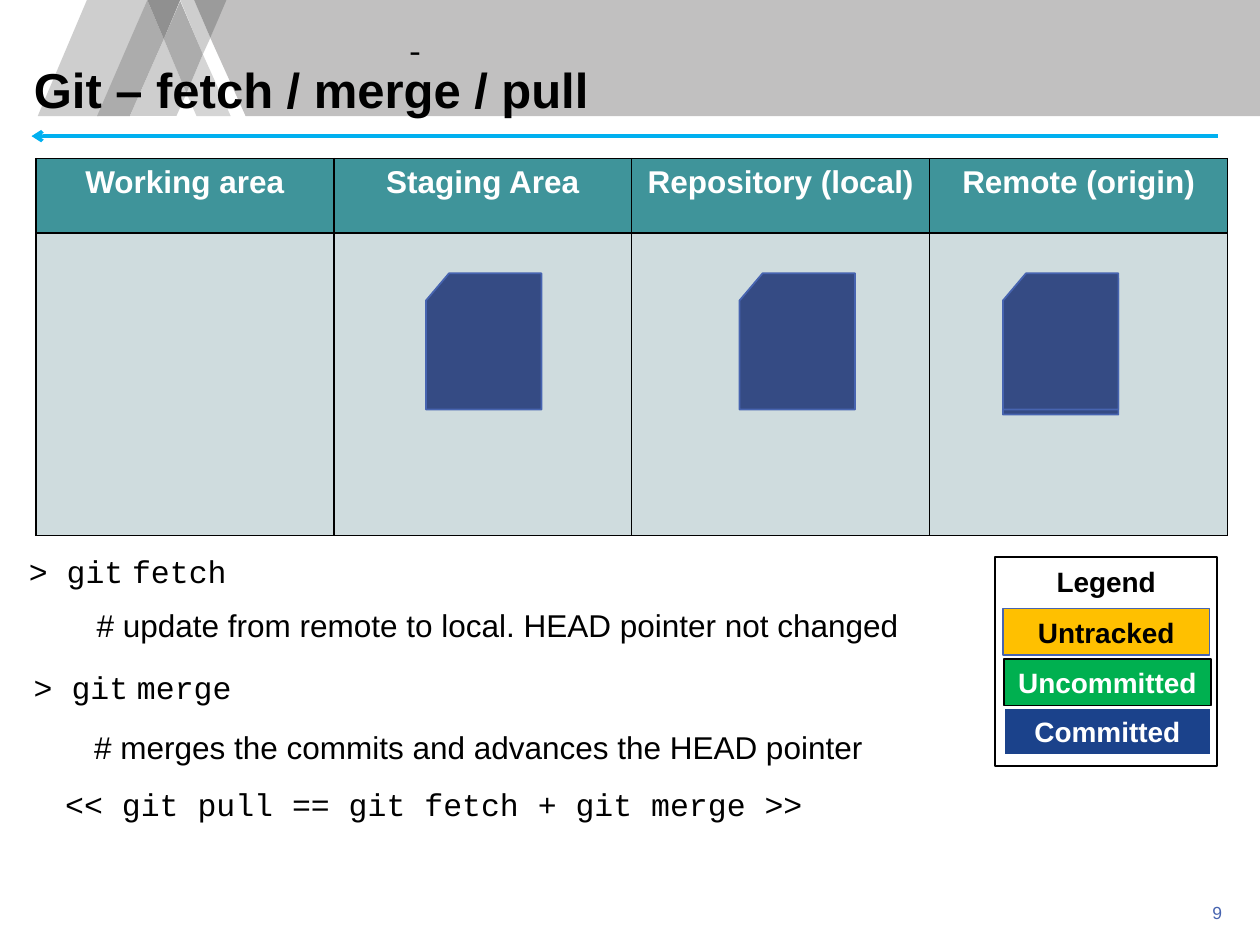
from dataclasses import dataclass

from lxml.etree import SubElement
from pptx import Presentation
from pptx.dml.color import RGBColor
from pptx.enum.shapes import MSO_CONNECTOR as CONN, MSO_SHAPE as SHAPE
from pptx.enum.text import MSO_ANCHOR as ANCHOR, MSO_AUTO_SIZE as FIT, PP_ALIGN as ALIGN
from pptx.oxml.ns import qn
from pptx.util import Pt

BLACK, WHITE, BLUE = "000000", "FFFFFF", "4764B0"
MONO = "Courier New"


@dataclass
class Box:
    x: float
    y: float
    w: float
    h: float

    def emu(self) -> list:
        return [Pt(v) for v in (self.x, self.y, self.w, self.h)]


@dataclass
class Facet:
    color: str
    points: list


@dataclass
class Note:
    box: Box
    runs: list  # (text, font) pairs
    wrap: bool = True
    after: float = 12


@dataclass
class Key:
    text: str
    box: Box
    fill: str
    line: str
    color: str


def rgb(value: str) -> RGBColor:
    return RGBColor.from_string(value)


def set_all(obj, fmt: dict) -> None:
    for name, value in fmt.items():
        setattr(obj, name, value)


def frame(tf, inset=0.0, **fmt) -> None:
    sides = ("left", "top", "right", "bottom")
    set_all(tf, {f"margin_{side}": Pt(inset) for side in sides})
    set_all(tf, {"word_wrap": True, "auto_size": FIT.NONE,
                 "vertical_anchor": ANCHOR.TOP, **fmt})


def write(p, text: str, size: float, color=BLACK, font="Arial", bold=False,
          align=ALIGN.LEFT) -> None:
    p.alignment = align
    r = p.add_run()
    r.text = text
    set_all(r.font, {"name": font, "size": Pt(size), "bold": bold})
    r.font.color.rgb = rgb(color)


def paint(sp, fill: str, line=None) -> None:
    sp.shadow.inherit = False
    sp.fill.solid()
    sp.fill.fore_color.rgb = rgb(fill)
    if line:
        sp.line.color.rgb = rgb(line)
        sp.line.width = Pt(1)
    else:
        sp.line.fill.background()


def add_shape(shapes, kind, box: Box, fill: str, line: str):
    sp = shapes.add_shape(kind, *box.emu())
    paint(sp, fill, line)
    return sp


def add_facet(shapes, facet: Facet) -> None:
    start, *rest = [(Pt(x), Pt(y)) for x, y in facet.points]
    fb = shapes.build_freeform(*start, scale=1.0)
    fb.add_line_segments(rest, close=True)
    paint(fb.convert_to_shape(), facet.color)


def add_note(shapes, note: Note) -> None:
    tf = shapes.add_textbox(*note.box.emu()).text_frame
    set_all(tf, {"word_wrap": note.wrap, "auto_size": FIT.SHAPE_TO_FIT_TEXT})
    p = tf.paragraphs[0]
    p.space_after = Pt(note.after)
    for text, font in note.runs:
        write(p, text, 18, font=font)


def border(cell) -> None:
    tc_pr = cell._tc.get_or_add_tcPr()
    for i, tag in enumerate(("a:lnL", "a:lnR", "a:lnT", "a:lnB")):
        ln = tc_pr.makeelement(qn(tag), {"w": str(Pt(1))})
        SubElement(SubElement(ln, qn("a:solidFill")), qn("a:srgbClr"), val=BLACK)
        tc_pr.insert(i, ln)


def add_areas(shapes, names: list, box: Box, heights: list) -> None:
    table = shapes.add_table(len(heights), len(names), *box.emu()).table
    for row, height in zip(table.rows, heights):
        row.height = Pt(height)
    for col, name in enumerate(names):
        table.columns[col].width = Pt(box.w / len(names))
        write(table.cell(0, col).text_frame.paragraphs[0], name, 18, WHITE,
              bold=True, align=ALIGN.CENTER)
        for row, fill in enumerate(("3F949A", "CFDCDE")):
            cell = table.cell(row, col)
            cell.fill.solid()
            cell.fill.fore_color.rgb = rgb(fill)
            border(cell)


END = 66.3  # lower edge of the banner
BANNER = [
    Facet("C1C0C0", [(120.2, 21.6), (140.4, END), (720, END), (720, 0), (128.9, 0)]),
    Facet("D5D5D5", [(115.9, 31), (106.6, 53.3), (112.3, END), (131.8, END)]),
    Facet("CECECE", [(110.9, 0), (103, 0), (115.9, 31), (120.2, 21.6)]),
    Facet("CECECE", [(93.6, 22.3), (74.2, END), (100.8, END), (106.6, 53.3)]),
    Facet("CECECE", [(84.2, 0), (49.7, 0), (21.6, END), (56.2, END)]),
    Facet("9B9B9B", [(129.4, 0), (110.9, 0), (120.2, 21.6)]),
    Facet("ACACAC", [(103, 0.7), (93.6, 22.3), (106.6, 53.3), (115.9, 31)]),
    Facet("ACACAC", [(84.2, 0), (55.5, END), (74.2, END), (93.6, 22.3)]),
    Facet("909090", [(103, 0), (84.2, 0), (93.6, 22.3)]),
]
AREAS = ["Working area", "Staging Area", "Repository (local)", "Remote (origin)"]
CARDS = [(243.4, 156.2), (573.1, 159.1), (573.1, 156.2), (422.6, 156.2)]
KEYS = [
    Key("Untracked", Box(573.1, 347.8, 118.1, 26.6), "FFC000", BLUE, BLACK),
    Key("Uncommitted", Box(573.8, 376.6, 118.1, 26.6), "00B050", BLACK, WHITE),
    Key("Committed", Box(573.8, 404.6, 118.1, 26.6), "1B428B", WHITE, WHITE),
]
NOTES = [
    Note(Box(9.4, 311.8, 602.6, 28.8),
         [("> git", MONO), (" ", "Arial"), ("fetch", MONO)]),
    Note(Box(48.2, 342.7, 477.4, 28.8),
         [("# update from remote to local. HEAD pointer not changed", "Arial")], False),
    Note(Box(12.2, 378, 128.2, 28.8),
         [("> git", MONO), (" ", "Arial"), ("merge", MONO)], False),
    Note(Box(30.2, 445, 452.9, 28.8),
         [("<< git pull == git fetch + git merge >>", MONO)]),
    Note(Box(46.7, 412.6, 486.8, 28.8),
         [("# merges the commits and advances the HEAD pointer", "Arial")], after=0),
]


def main() -> None:
    prs = Presentation()
    prs.slide_width, prs.slide_height = Pt(720), Pt(540)
    s = prs.slides.add_slide(prs.slide_layouts[5])
    shapes = s.shapes
    title = shapes.title

    # Banner
    for facet in BANNER:
        add_facet(shapes, facet)

    # Slide number
    tf = shapes.add_textbox(*Box(642.2, 513.4, 57.6, 18).emu()).text_frame
    frame(tf, margin_right=Pt(1.4), margin_bottom=Pt(1.4), vertical_anchor=ANCHOR.MIDDLE)
    write(tf.paragraphs[0], "9", 10, BLUE, align=ALIGN.RIGHT)

    # Areas table
    add_areas(shapes, AREAS, Box(20.5, 90.7, 681.1, 215.3), [42.5, 172.8])

    # Title, raised above the banner
    title.left, title.top, title.width, title.height = Box(19.4, 30.2, 681.1, 45.4).emu()
    shapes._spTree.append(title._element)
    frame(title.text_frame)
    p = title.text_frame.paragraphs[0]
    p.line_spacing = 1.12
    write(p, "Git – fetch / merge / pull", 28, bold=True)

    # Arrow under the title
    arrow = shapes.add_connector(CONN.STRAIGHT, Pt(18), Pt(77.8), Pt(696.2), Pt(77.8))
    arrow.line.color.rgb = rgb("00B0F0")
    arrow.line.width = Pt(2)
    SubElement(arrow.line._get_or_add_ln(), qn("a:headEnd"), type="arrow")
    SubElement(arrow._element.spPr, qn("a:effectLst"))

    # Committed files
    for x, y in CARDS:
        add_shape(shapes, SHAPE.FLOWCHART_CARD, Box(x, y, 66, 77.8), "354B84", BLUE)

    # Dash above the title
    tf = shapes.add_textbox(*Box(231.8, 18, 23.8, 21.6).emu()).text_frame
    frame(tf, auto_size=FIT.SHAPE_TO_FIT_TEXT)
    write(tf.paragraphs[0], "-", 18, font=MONO)

    # Legend
    legend = shapes.add_group_shape().shapes
    panel = add_shape(legend, SHAPE.RECTANGLE, Box(568.8, 318.2, 126.7, 119.5), WHITE, BLACK)
    frame(panel.text_frame, 3, margin_top=Pt(4.5))
    write(panel.text_frame.paragraphs[0], "Legend", 16, bold=True, align=ALIGN.CENTER)
    for key in KEYS:
        sp = add_shape(legend, SHAPE.RECTANGLE, key.box, key.fill, key.line)
        frame(sp.text_frame, 3, vertical_anchor=ANCHOR.MIDDLE)
        write(sp.text_frame.paragraphs[0], key.text, 16, key.color, bold=True,
              align=ALIGN.CENTER)

    # Commands and comments
    for note in NOTES:
        add_note(shapes, note)

    prs.save("out.pptx")


if __name__ == "__main__":
    main()
